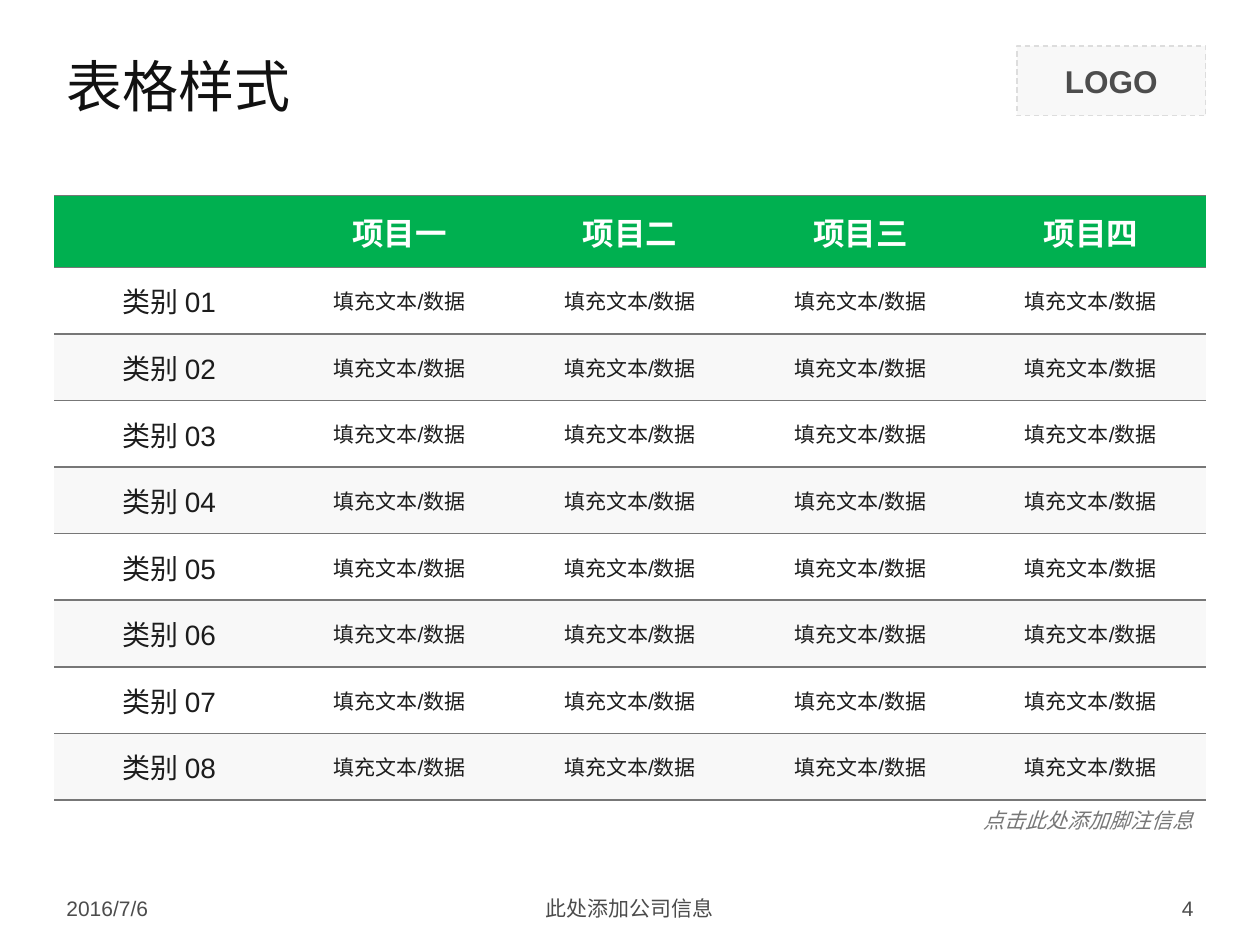
from lxml import etree
from pptx import Presentation
from pptx import util as u
from pptx.dml.color import RGBColor
from pptx.enum import dml, shapes, text
from pptx.oxml.ns import qn

COLORS = {
    "green": "00B050", "white": "FFFFFF", "band": "F8F8F8", "rule": "777777",
    "title": "111111", "body": "1C1C1C", "footer": "4C4C4C",
    "logo": "4D4D4D", "dash": "DDDDDD",
}
LEFT, WIDTH = 1.09, 23.22
RIGHT = LEFT + WIDTH
ALIGN = text.PP_ALIGN


class SlideBuilder:
    def __init__(self, prs):
        self.s = prs.slides.add_slide(prs.slide_layouts[5])
        self.font = "Arial"

    def color(self, name):
        return RGBColor.from_string(COLORS[name])

    def set_text(self, tf, words, size, color, align=ALIGN.CENTER, bold=False,
                 italic=False, font=None):
        tf.text = words
        p = tf.paragraphs[0]
        p.alignment = align
        for r in p.runs:
            r.font.name = font or self.font
            r.font.size = u.Pt(size)
            r.font.bold = bold
            r.font.italic = italic
            r.font.color.rgb = self.color(color)

    def title(self, words, x, y, w, h):
        sp = self.s.shapes.title
        sp.left, sp.top, sp.width, sp.height = map(u.Cm, (x, y, w, h))
        sp.text_frame.vertical_anchor = text.MSO_ANCHOR.MIDDLE
        self.set_text(sp.text_frame, words, 32, "title", ALIGN.LEFT, font="Montserrat")

    def box(self, words, x, y, w, h):
        sp = self.s.shapes.add_shape(shapes.MSO_SHAPE.RECTANGLE, *map(u.Cm, (x, y, w, h)))
        sp.shadow.inherit = False
        sp.fill.solid()
        sp.fill.fore_color.rgb = self.color("band")
        sp.line.color.rgb = self.color("dash")
        sp.line.width = u.Pt(0.75)
        sp.line.dash_style = dml.MSO_LINE.DASH
        sp.text_frame.vertical_anchor = text.MSO_ANCHOR.MIDDLE
        self.set_text(sp.text_frame, words, 18, "logo", bold=True)

    def label(self, words, x, y, w, h, align, color="footer", italic=False, wrap=True):
        tf = self.s.shapes.add_textbox(*map(u.Cm, (x, y, w, h))).text_frame
        tf.word_wrap = wrap
        if wrap:
            tf.vertical_anchor = text.MSO_ANCHOR.MIDDLE
        else:
            tf.auto_size = text.MSO_AUTO_SIZE.SHAPE_TO_FIT_TEXT
        self.set_text(tf, words, 12, color, align, italic=italic)

    def borders(self, cell):
        tc_pr = cell._tc.get_or_add_tcPr()
        for i, side in enumerate(("lnL", "lnR", "lnT", "lnB")):
            ln = etree.Element(qn("a:" + side), w=str(u.Pt(1)))
            if side in ("lnL", "lnR"):
                etree.SubElement(ln, qn("a:noFill"))
            else:
                fill = etree.SubElement(ln, qn("a:solidFill"))
                etree.SubElement(fill, qn("a:srgbClr"), val=COLORS["rule"])
            tc_pr.insert(i, ln)

    def table(self, rows, x, y, w, h, head_h):
        n, m = len(rows), len(rows[0])
        frame = self.s.shapes.add_table(n, m, *map(u.Cm, (x, y, w, h)))
        tbl = frame.table
        tbl.horz_banding = False
        for col in tbl.columns:
            col.width = u.Cm(w / m)
        for i, words in enumerate(rows):
            tbl.rows[i].height = u.Cm(head_h if i == 0 else (h - head_h) / (n - 1))
            fill = "green" if i == 0 else "white" if i % 2 else "band"
            for j, word in enumerate(words):
                cell = tbl.cell(i, j)
                cell.vertical_anchor = text.MSO_ANCHOR.MIDDLE
                cell.fill.solid()
                cell.fill.fore_color.rgb = self.color(fill)
                self.borders(cell)
                size = 18 if i == 0 else 16 if j == 0 else 12
                self.set_text(cell.text_frame, word, size,
                              "white" if i == 0 else "body", bold=i == 0)


def main():
    prs = Presentation()
    prs.slide_width, prs.slide_height = u.Cm(25.4), u.Cm(19.05)
    b = SlideBuilder(prs)
    b.box("LOGO", RIGHT - 3.81, 0.93, 3.81, 1.4)
    b.title("表格样式", LEFT, 0.71, WIDTH, 2.01)

    rows = [[""] + [f"项目{n}" for n in "一二三四"]]
    rows += [[f"类别 {n:02}"] + ["填充文本/数据"] * 4 for n in range(1, 9)]
    b.table(rows, LEFT, 3.94, WIDTH, 12.19, 1.45)

    foot_y, foot_h, side_w = 17.93, 0.74, 5.93
    b.label("2016/7/6", LEFT, foot_y, side_w, foot_h, ALIGN.LEFT)
    b.label("此处添加公司信息", 8.68, foot_y, 8.04, foot_h, ALIGN.CENTER)
    b.label("4", RIGHT - side_w, foot_y, side_w, foot_h, ALIGN.RIGHT)
    b.label("点击此处添加脚注信息", RIGHT - 4.78, 16.15, 4.78, 0.77, ALIGN.RIGHT,
            "rule", italic=True, wrap=False)
    prs.save("out.pptx")


if __name__ == "__main__":
    main()
